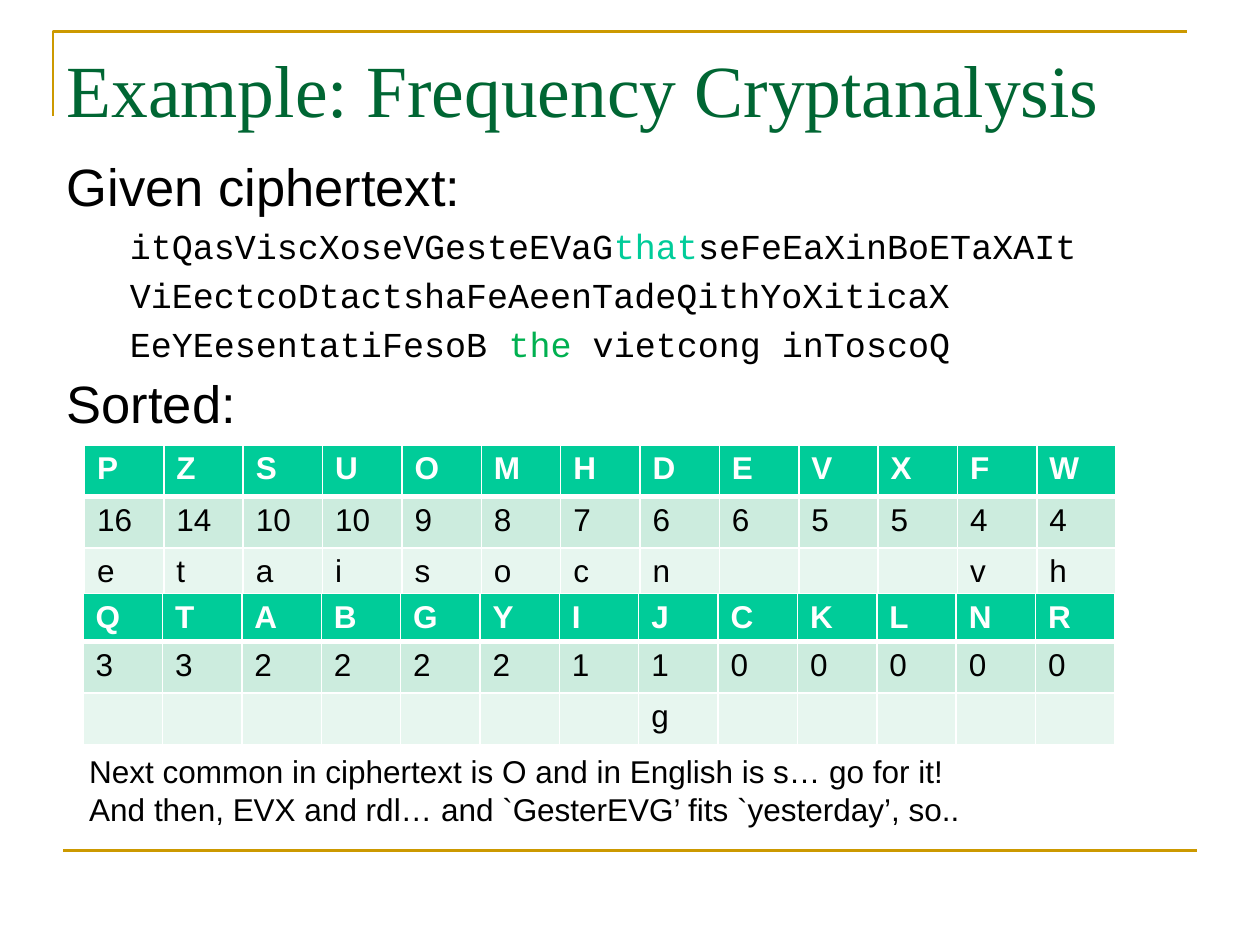
from dataclasses import dataclass
from itertools import product

from lxml import etree
from pptx import Presentation, util as u
from pptx.dml.color import RGBColor
from pptx.enum import shapes, text
from pptx.oxml import ns

CELL = u.Inches(0.1)
HUES = {"ink": "000000", "title": "006633", "rule": "CC9900", "mint": "00CC99",
        "leaf": "00B050", "white": "FFFFFF", "band": "CCECDE", "pale": "E7F6EF"}


@dataclass
class Line:
    bits: list[tuple[str, str]]
    sub: bool = False


@dataclass
class Block:
    left: float
    top: float
    head: float
    rows: list[list[str]]


LINES = [
    Line([("Given ciphertext:", "ink")]),
    Line([("itQasViscXoseVGesteEVaG", "ink"), ("that", "mint"),
          ("seFeEaXinBoETaXAIt", "ink")], True),
    Line([("ViEectcoDtactshaFeAeenTadeQithYoXiticaX", "ink")], True),
    Line([("EeYEesentatiFesoB ", "ink"), ("the ", "leaf"),
          ("vietcong inToscoQ", "ink")], True),
    Line([("Sorted:", "ink")]),
]
BLOCKS = [
    Block(6.7, 35.3, 4.1, [list("PZSUOMHDEVXFW"),
                           "16 14 10 10 9 8 7 6 6 5 5 4 4".split(),
                           list("etaisocn") + [""] * 3 + list("vh")]),
    Block(6.6, 47.1, 3.3, [list("QTABGYIJCKLNR"), list("3322221100000"),
                           [""] * 7 + ["g"] + [""] * 5]),
]
NOTES = ["Next common in ciphertext is O and in English is s… go for it!",
         "And then, EVX and rdl… and `GesterEVG’ fits `yesterday’, so.."]


def span(n: float) -> int:
    """Turn a count of grid cells into a length."""
    return round(n * CELL)


def tint(hue: str) -> RGBColor:
    """Look up a named colour."""
    return RGBColor.from_string(HUES[hue])


def write(par, words: str, *, size: float = 18, face: str = "Arial",
          hue: str = "ink", bold: bool = False) -> None:
    """Add a formatted run to a paragraph."""
    run = par.add_run()
    run.text = words
    font = run.font
    font.size, font.name, font.bold = u.Pt(size), face, bold
    font.color.rgb = tint(hue)


def place(shape, left: float, top: float, wide: float, high: float) -> None:
    """Move and size a shape on the grid."""
    shape.left, shape.top = span(left), span(top)
    shape.width, shape.height = span(wide), span(high)


def plain(frame) -> None:
    """Anchor text at the top and keep its size fixed."""
    frame.vertical_anchor = text.MSO_ANCHOR.TOP
    frame.auto_size = text.MSO_AUTO_SIZE.NONE
    frame.word_wrap = True


def rule(line) -> None:
    """Style a frame line."""
    line.color.rgb = tint("rule")
    line.width = u.Pt(1.5)


def edge(cell, side: str, wide: float) -> None:
    """Draw one white border of a cell."""
    props = cell._tc.get_or_add_tcPr()
    line = etree.SubElement(props, ns.qn("a:ln" + side), w=str(u.Pt(wide)))
    fill = etree.SubElement(line, ns.qn("a:solidFill"))
    etree.SubElement(fill, ns.qn("a:srgbClr"), val=HUES["white"])


def list_out(frame, lines: list[Line]) -> None:
    """Fill the body with unbulleted lines on two levels."""
    plain(frame)
    for i, line in enumerate(lines):
        par = frame.add_paragraph() if i else frame.paragraphs[0]
        par.level = int(line.sub)
        par.line_spacing = 0.9
        par.space_before = u.Pt(0 if i == 0 else 6.5 if line.sub else 7.5)
        props = par._p.get_or_add_pPr()
        props.set("marL", str(span(8.1 if line.sub else 3.8)))
        props.set("indent", str(span(-3.1 if line.sub else -3.8)))
        etree.SubElement(props, ns.qn("a:buNone"))
        for words, hue in line.bits:
            write(par, words, hue=hue, size=20 if line.sub else 30,
                  face="Courier New" if line.sub else "Arial")


def grid(slide, block: Block) -> None:
    """Draw a letter table with its counts and guesses."""
    rows, cols = len(block.rows), len(block.rows[0])
    highs = [block.head, 4.1, 4.1]
    table = slide.shapes.add_table(
        rows, cols, span(block.left), span(block.top),
        span(6.3 * cols), span(sum(highs))).table
    for row, high in zip(table.rows, highs):
        row.height = span(high)
    for col in table.columns:
        col.width = span(6.3)
    for r, c in product(range(rows), range(cols)):
        cell = table.cell(r, c)
        for side in "LRTB":
            edge(cell, side, 3 if (r, side) in ((0, "B"), (1, "T")) else 1)
        cell.fill.solid()
        cell.fill.fore_color.rgb = tint(("mint", "band", "pale")[r])
        if block.rows[r][c]:
            write(cell.text_frame.paragraphs[0], block.rows[r][c],
                  hue="ink" if r else "white", bold=r == 0)


def frame_up(slide) -> None:
    """Draw the corner line and the bottom line."""
    pen = slide.shapes.build_freeform(span(4.2), span(9.2))
    pen.add_line_segments([(span(4.2), span(2.5)), (span(94.2), span(2.5))],
                          close=False)
    bend = pen.convert_to_shape()
    bend.shadow.inherit = False
    bend.fill.background()
    rule(bend.line)
    base = slide.shapes.add_connector(shapes.MSO_CONNECTOR.STRAIGHT,
                                      span(5), span(67.5), span(95), span(67.5))
    etree.SubElement(base._element.spPr, ns.qn("a:effectLst"))
    rule(base.line)


def main() -> None:
    """Build and save the slide."""
    deck = Presentation()
    deck.slide_width, deck.slide_height = span(100), span(75)
    slide = deck.slides.add_slide(deck.slide_layouts[1])
    frame_up(slide)

    title, body = slide.placeholders
    place(title, 4.3, 3, 90.7, 15)
    plain(title.text_frame)
    head = title.text_frame.paragraphs[0]
    head.alignment = text.PP_ALIGN.LEFT
    write(head, "Example: Frequency Cryptanalysis", size=42,
          face="Times New Roman", hue="title")
    place(body, 4.3, 12.3, 94.2, 23)
    list_out(body.text_frame, LINES)

    for block in BLOCKS:
        grid(slide, block)

    note = slide.shapes.add_textbox(span(6.1), span(59.2), span(71.8), span(7.1))
    frame = note.text_frame
    frame.word_wrap = False
    for i, words in enumerate(NOTES):
        write(frame.add_paragraph() if i else frame.paragraphs[0], words)
    deck.save("out.pptx")


if __name__ == "__main__":
    main()
